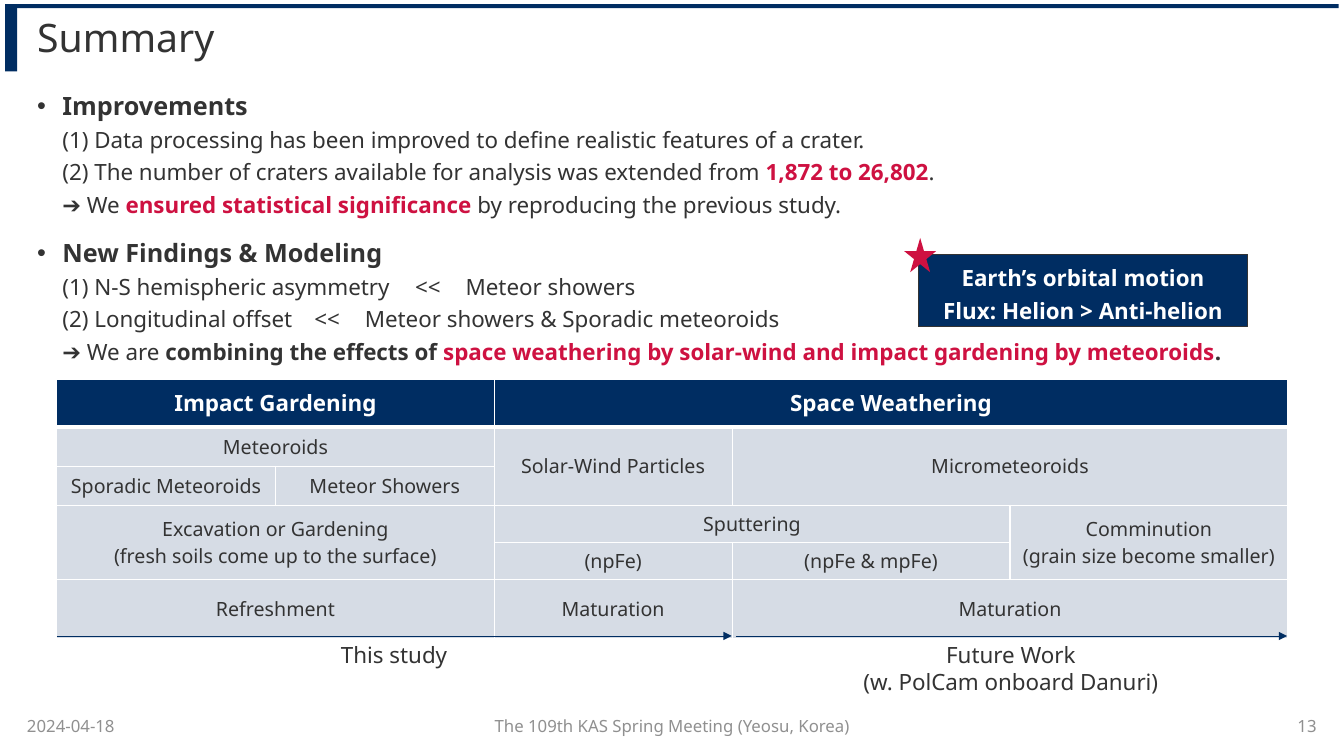
from dataclasses import dataclass

from lxml import etree
from pptx import Presentation
from pptx import util as u
from pptx.dml.color import RGBColor
from pptx.enum import shapes, text
from pptx.oxml.ns import qn


@dataclass(frozen=True)
class Theme:
    """Font, colours and type sizes of the slide."""
    font: str = "Noto Sans"
    navy: str = "002D62"
    red: str = "CE1141"
    ink: str = "333333"
    grey: str = "909090"
    pale: str = "D6DCE5"
    white: str = "FFFFFF"
    title: int = 28
    heading: int = 18
    body: int = 16
    cell: int = 14
    footer: int = 12


THEME = Theme()
ALIGN = text.PP_ALIGN
ANCHOR = text.MSO_ANCHOR
SECTIONS = [
    ("Improvements", [
        [("(1) Data processing has been improved to define realistic features of a crater.", "")],
        [("(2) The number of craters available for analysis was extended from ", ""),
         ("1,872 to 26,802", "red bold"), (".", "")],
        [("➔ We ", ""), ("ensured statistical significance", "red bold"),
         (" by reproducing the previous study.", "")],
    ]),
    ("New Findings & Modeling", [
        [("(1) N-S hemispheric asymmetry\t<<\tMeteor showers", "")],
        [("(2) Longitudinal offset\t<<\tMeteor showers & Sporadic meteoroids", "")],
        [("➔ We are ", ""), ("combining the effects of ", "bold"),
         ("space weathering by solar-wind and impact gardening by meteoroids", "red bold"),
         (".", "bold")],
    ]),
]
TAB_STOPS = (264, 290)
COLUMN_WIDTHS = (156.2, 156.2, 170, 198.5, 198.5)
ROW_HEIGHTS = (34, 28, 28, 26.5, 26.5, 42)
CELLS = [
    (0, 0, 1, 2, "Impact Gardening"),
    (0, 2, 1, 3, "Space Weathering"),
    (1, 0, 1, 2, "Meteoroids"),
    (1, 2, 2, 1, "Solar-Wind Particles"),
    (1, 3, 2, 2, "Micrometeoroids"),
    (2, 0, 1, 1, "Sporadic Meteoroids"),
    (2, 1, 1, 1, "Meteor Showers"),
    (3, 0, 2, 2, "Excavation or Gardening\n(fresh soils come up to the surface)"),
    (3, 2, 1, 2, "Sputtering"),
    (3, 4, 2, 1, "Comminution\n(grain size become smaller)"),
    (4, 2, 1, 1, "(npFe)"),
    (4, 3, 1, 1, "(npFe & mpFe)"),
    (5, 0, 1, 2, "Refreshment"),
    (5, 2, 1, 1, "Maturation"),
    (5, 3, 1, 2, "Maturation"),
]


def rgb(colour):
    """Turn a hex string into a colour."""
    return RGBColor.from_string(colour)


def points(values):
    """Turn numbers into lengths in points."""
    return [u.Pt(value) for value in values]


def style_run(run, size, colour, bold=False):
    """Format one run."""
    run.font.name = THEME.font
    run.font.size = u.Pt(size)
    run.font.bold = bold
    run.font.color.rgb = rgb(colour)


def fill_text(frame, content, size, colour, align=ALIGN.LEFT, bold=False, spacing=None):
    """Set the text of a frame and format all of it alike."""
    frame.text = content
    for paragraph in frame.paragraphs:
        paragraph.alignment = align
        if spacing:
            paragraph.line_spacing = spacing
        for run in paragraph.runs:
            style_run(run, size, colour, bold)


def add_box(slide, box, anchor=ANCHOR.TOP, side_inset=7.2):
    """Add a wrapping text box and return its frame."""
    frame = slide.shapes.add_textbox(*points(box)).text_frame
    frame.word_wrap = True
    frame.vertical_anchor = anchor
    frame.margin_left = frame.margin_right = u.Pt(side_inset)
    return frame


def add_block(slide, kind, box, fill, line=None):
    """Add a filled preset shape."""
    shape = slide.shapes.add_shape(kind, *points(box))
    shape.shadow.inherit = False
    shape.fill.solid()
    shape.fill.fore_color.rgb = rgb(fill)
    if line:
        shape.line.color.rgb = rgb(line)
        shape.line.width = u.Pt(0.75)
    else:
        shape.line.fill.background()
    return shape


def add_arrow(slide, start, end, top):
    """Add a thin horizontal arrow pointing right."""
    arrow = slide.shapes.add_connector(
        shapes.MSO_CONNECTOR.STRAIGHT, *points((start, top, end, top)))
    arrow.line.color.rgb = rgb(THEME.navy)
    arrow.line.width = u.Pt(0.5)
    etree.SubElement(arrow.line._get_or_add_ln(), qn("a:tailEnd"), type="triangle")
    etree.SubElement(arrow._element.spPr, qn("a:effectLst"))


def indent_paragraph(paragraph, bullet=False, tabs=()):
    """Indent a paragraph, with a bullet or tab stops if asked."""
    properties = paragraph._p.get_or_add_pPr()
    properties.set("marL", str(u.Pt(18)))
    properties.set("indent", str(u.Pt(-18 if bullet else 0)))
    if bullet:
        etree.SubElement(properties, qn("a:buFont"), typeface="Arial")
        etree.SubElement(properties, qn("a:buChar"), char="•")
    if tabs:
        stops = etree.SubElement(properties, qn("a:tabLst"))
        for position in tabs:
            etree.SubElement(stops, qn("a:tab"), pos=str(u.Pt(position)), algn="l")
    paragraph.line_spacing = 1.2


def add_sections(slide):
    """Write the bulleted headings and the lines under them."""
    frame = add_box(slide, (12.2, 56.9, 935.3, 215), side_inset=14.4)
    for index, (heading, lines) in enumerate(SECTIONS):
        paragraph = frame.add_paragraph() if index else frame.paragraphs[0]
        paragraph.text = heading
        indent_paragraph(paragraph, bullet=True)
        if index:
            paragraph.space_before = u.Pt(10)
        style_run(paragraph.runs[0], THEME.heading, THEME.ink, True)
        for line in lines:
            paragraph = frame.add_paragraph()
            indent_paragraph(paragraph, tabs=TAB_STOPS if "\t" in line[0][0] else ())
            for content, look in line:
                run = paragraph.add_run()
                run.text = content
                colour = THEME.red if "red" in look else THEME.ink
                style_run(run, THEME.body, colour, "bold" in look)


def style_cell(cell, row):
    """Give a cell its white borders and its fill."""
    properties = cell._tc.get_or_add_tcPr()
    thick = {0: "lnB", 1: "lnT"}.get(row)
    for side in ("lnL", "lnR", "lnT", "lnB"):
        width = u.Pt(3 if side == thick else 1)
        border = etree.SubElement(properties, qn(f"a:{side}"), w=str(width))
        solid = etree.SubElement(border, qn("a:solidFill"))
        etree.SubElement(solid, qn("a:srgbClr"), val=THEME.white)
    cell.fill.solid()
    cell.fill.fore_color.rgb = rgb(THEME.pale if row else THEME.navy)


def add_process_table(slide):
    """Add the table of gardening and weathering processes."""
    box = (40.6, 271, sum(COLUMN_WIDTHS), sum(ROW_HEIGHTS))
    table = slide.shapes.add_table(
        len(ROW_HEIGHTS), len(COLUMN_WIDTHS), *points(box)).table
    table.horz_banding = False
    for column, width in zip(table.columns, COLUMN_WIDTHS):
        column.width = u.Pt(width)
    for index, (row, height) in enumerate(zip(table.rows, ROW_HEIGHTS)):
        row.height = u.Pt(height)
        for cell in row.cells:
            style_cell(cell, index)
    for row, column, height, width, content in CELLS:
        cell = table.cell(row, column)
        if height * width > 1:
            cell.merge(table.cell(row + height - 1, column + width - 1))
        cell.vertical_anchor = ANCHOR.MIDDLE
        size, colour = (THEME.cell, THEME.ink) if row else (THEME.body, THEME.white)
        fill_text(cell.text_frame, content, size, colour, ALIGN.CENTER, row == 0)


def main():
    """Build the summary slide and save it."""
    presentation = Presentation()
    presentation.slide_width, presentation.slide_height = points((960, 540))
    slide = presentation.slides.add_slide(presentation.slide_layouts[6])
    kinds = shapes.MSO_SHAPE
    add_block(slide, kinds.RECTANGLE, (3.6, 2.9, 8.6, 48.2), THEME.navy)
    add_block(slide, kinds.RECTANGLE, (3.6, 2.9, 952.6, 2.9), THEME.navy)
    title = add_box(slide, (12.2, 5.8, 935.3, 45.4), ANCHOR.MIDDLE, 14.4)
    fill_text(title, "Summary", THEME.title, THEME.ink, spacing=0.9)
    add_sections(slide)
    add_process_table(slide)
    for start, end in ((40.6, 522.7), (525.6, 919.4)):
        add_arrow(slide, start, end, 454.3)
    for left, width, height, content in (
            (219.6, 123.8, 26.6, "This study"),
            (602.6, 239, 46.1, "Future Work\n(w. PolCam onboard Danuri)")):
        label = add_box(slide, (left, 454.3, width, height))
        fill_text(label, content, THEME.body, THEME.ink, ALIGN.CENTER)
    callout = add_block(slide, kinds.RECTANGLE, (655.9, 181.6, 235.4, 52), THEME.navy, THEME.ink)
    callout.text_frame.vertical_anchor = ANCHOR.TOP
    fill_text(callout.text_frame, "Earth’s orbital motion\nFlux: Helion > Anti-helion",
              THEME.body, THEME.white, ALIGN.CENTER, True, 1.2)
    add_block(slide, kinds.STAR_5_POINT, (645.8, 170, 23, 24.5), THEME.red)
    for left, width, content, align in (
            (12.2, 226.8, "2024-04-18", ALIGN.LEFT),
            (253.4, 453.6, "The 109th KAS Spring Meeting (Yeosu, Korea)", ALIGN.CENTER),
            (720.7, 226.8, "13", ALIGN.RIGHT)):
        footer = add_box(slide, (left, 504.7, width, 28.1), ANCHOR.MIDDLE)
        fill_text(footer, content, THEME.footer, THEME.grey, align)
    presentation.save("out.pptx")


if __name__ == "__main__":
    main()
